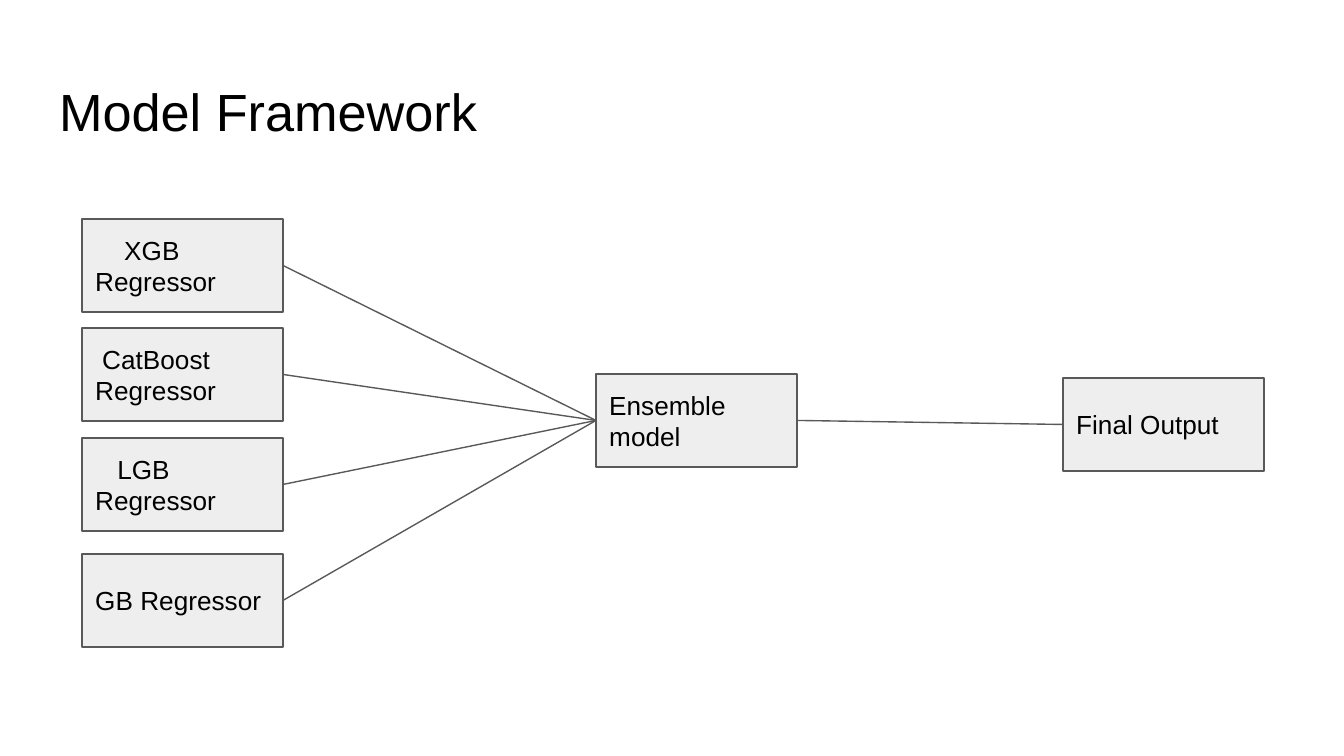
from pptx import Presentation, util as u
from pptx.dml.color import RGBColor
from pptx.enum import shapes, text
from lxml import etree

PX = 914400 / 134.4
INK = {"text": "000000", "box": "EEEEEE", "line": "595959"}
W, H = 201, 93


def px(n):
    return u.Emu(round(n * PX))


def write(shape, words, size=14, anchor=text.MSO_ANCHOR.MIDDLE, indent=0):
    """Fill a shape with left-aligned text; indent moves the first line only."""
    frame = shape.text_frame
    frame.word_wrap = True
    frame.vertical_anchor = anchor
    frame.margin_left = frame.margin_right = u.Inches(0.1)
    frame.margin_top = frame.margin_bottom = u.Inches(0.1)
    frame.text = words
    for par in frame.paragraphs:
        par.alignment = text.PP_ALIGN.LEFT
        par.font.name = "Arial"
        par.font.size = u.Pt(size)
        par.font.color.rgb = RGBColor.from_string(INK["text"])
    if indent:
        props = frame.paragraphs[0]._p.get_or_add_pPr()
        props.set("marL", "0")
        props.set("indent", str(px(indent)))


deck = Presentation()
deck.slide_width, deck.slide_height = px(1344), px(756)
slide = deck.slides.add_slide(deck.slide_layouts[6])

title = slide.shapes.add_textbox(px(46), px(66), px(1253), px(85))
write(title, "Model Framework", size=28, anchor=text.MSO_ANCHOR.TOP)

# Boxes: name, left, top, words, first-line indent
nodes = [
    ("xgb", 82, 219, "XGB Regressor", 29),
    ("cat", 82, 328, "CatBoost\nRegressor", 7),
    ("lgb", 82, 438, "LGB Regressor", 22),
    ("gb", 82, 554, "GB Regressor", 0),
    ("mix", 596, 374, "Ensemble model", 0),
    ("out", 1063, 378, "Final Output", 0),
]
boxes = {}
for name, left, top, words, indent in nodes:
    box = slide.shapes.add_shape(
        shapes.MSO_SHAPE.RECTANGLE, px(left), px(top), px(W), px(H))
    box.shadow.inherit = False
    box.fill.solid()
    box.fill.fore_color.rgb = RGBColor.from_string(INK["box"])
    box.line.color.rgb = RGBColor.from_string(INK["line"])
    box.line.width = u.Pt(0.75)
    write(box, words, indent=indent)
    boxes[name] = box

# Links run from the right side of one box to the left side of the next
links = [(name, "mix") for name in ("xgb", "cat", "lgb", "gb")] + [("mix", "out")]
for start, end in links:
    link = slide.shapes.add_connector(shapes.MSO_CONNECTOR.STRAIGHT, 0, 0, 0, 0)
    link.begin_connect(boxes[start], 3)
    link.end_connect(boxes[end], 1)
    link.line.color.rgb = RGBColor.from_string(INK["line"])
    link.line.width = u.Pt(0.75)
    etree.SubElement(
        link._element.spPr,
        "{http://schemas.openxmlformats.org/drawingml/2006/main}effectLst")

deck.save("out.pptx")
